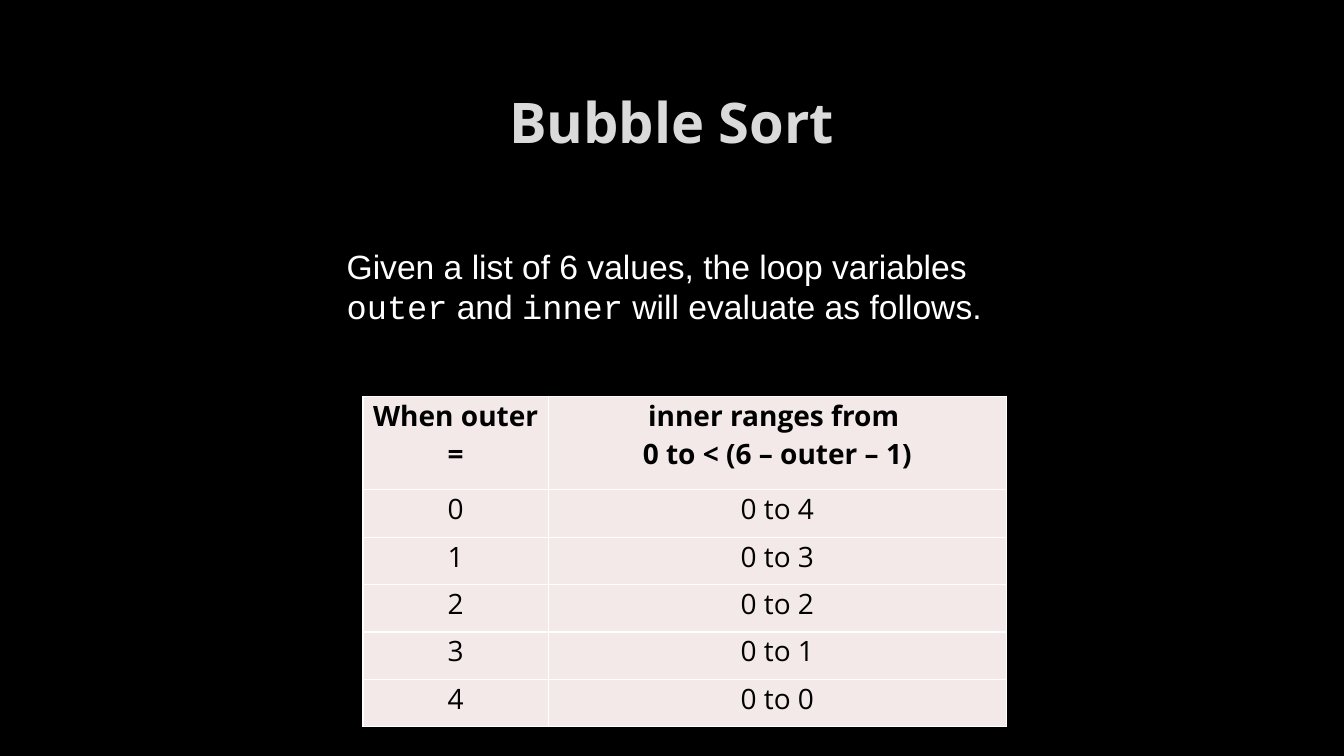
"""Build the Bubble Sort slide with its table of loop ranges."""
from dataclasses import dataclass

import lxml.etree
import pptx
import pptx.dml.color
import pptx.enum.text
import pptx.oxml.ns
import pptx.util

Inches = pptx.util.Inches
Pt = pptx.util.Pt
RGBColor = pptx.dml.color.RGBColor
PP_ALIGN = pptx.enum.text.PP_ALIGN
MSO_ANCHOR = pptx.enum.text.MSO_ANCHOR
qn = pptx.oxml.ns.qn


@dataclass(frozen=True)
class Theme:
    background: str = "000000"
    title: str = "DADADA"
    body: str = "FFFFFF"
    cell_text: str = "000000"
    cell_fill: str = "F3E9E8"
    border: str = "FFFFFF"
    heading_font: str = "Open Sans"
    body_font: str = "Arial"
    code_font: str = "Courier New"
    title_size: int = 40
    body_size: int = 24
    cell_size: int = 20
    border_width: int = 1


@dataclass(frozen=True)
class Box:
    left: float
    top: float
    width: float
    height: float

    def lengths(self) -> tuple:
        return tuple(Inches(n) for n in (self.left, self.top, self.width, self.height))


@dataclass(frozen=True)
class Phrase:
    text: str
    is_code: bool = False


THEME = Theme()
TITLE_BOX = Box(1, 0.67, 11.32, 1.06)
INTRO_BOX = Box(3.34, 2.38, 6.64, 0.91)
TABLE_BOX = Box(3.6, 3.93, 6.38, 3.28)
COLUMN_WIDTHS = (1.84, 4.54)
HEADER_HEIGHT = 0.93
ROW_HEIGHT = 0.47
VALUE_COUNT = 6
INTRO = (
    Phrase("Given a list of 6 values, the loop variables "),
    Phrase("outer", True),
    Phrase(" and "),
    Phrase("inner", True),
    Phrase(" will evaluate as follows."),
)
HEADER = ("When outer =", "inner ranges from \n0 to < (6 – outer – 1)")


def style_font(font, name: str, size: int, color: str, bold: bool = False) -> None:
    """Apply typeface, size, colour and weight."""
    font.name = name
    font.size = Pt(size)
    font.bold = bold
    font.color.rgb = RGBColor.from_string(color)


def add_text_frame(slide, box: Box):
    """Add a wrapping, vertically centred text box and return its frame."""
    frame = slide.shapes.add_textbox(*box.lengths()).text_frame
    frame.word_wrap = True
    frame.vertical_anchor = MSO_ANCHOR.MIDDLE
    return frame


def add_title(slide) -> None:
    """Add the slide title."""
    paragraph = add_text_frame(slide, TITLE_BOX).paragraphs[0]
    paragraph.text = "Bubble Sort"
    paragraph.alignment = PP_ALIGN.CENTER
    style_font(paragraph.font, THEME.heading_font, THEME.title_size, THEME.title, True)


def add_intro(slide) -> None:
    """Add the introduction, setting variable names in the code font."""
    paragraph = add_text_frame(slide, INTRO_BOX).paragraphs[0]
    for phrase in INTRO:
        run = paragraph.add_run()
        run.text = phrase.text
        name = THEME.code_font if phrase.is_code else THEME.body_font
        style_font(run.font, name, THEME.body_size, THEME.body)


def set_borders(cell) -> None:
    """Draw a thin line on all four sides of a cell."""
    properties = cell._tc.get_or_add_tcPr()
    for position, side in enumerate(("lnL", "lnR", "lnT", "lnB")):
        line = lxml.etree.Element(qn(f"a:{side}"), w=str(Pt(THEME.border_width)))
        fill = lxml.etree.SubElement(line, qn("a:solidFill"))
        lxml.etree.SubElement(fill, qn("a:srgbClr"), val=THEME.border)
        properties.insert(position, line)


def fill_cell(cell, text: str, bold: bool) -> None:
    """Write and style one table cell."""
    cell.text = text
    cell.margin_left = cell.margin_right = Inches(0.07)
    cell.margin_top = cell.margin_bottom = Inches(0)
    cell.fill.solid()
    cell.fill.fore_color.rgb = RGBColor.from_string(THEME.cell_fill)
    for paragraph in cell.text_frame.paragraphs:
        paragraph.alignment = PP_ALIGN.CENTER
        style_font(paragraph.font, THEME.heading_font, THEME.cell_size, THEME.cell_text, bold)
    set_borders(cell)


def add_range_table(slide) -> None:
    """Add the table of inner ranges for each outer value."""
    ranges = [(str(outer), f"0 to {VALUE_COUNT - outer - 2}") for outer in range(VALUE_COUNT - 1)]
    rows = [HEADER, *ranges]
    table = slide.shapes.add_table(len(rows), len(HEADER), *TABLE_BOX.lengths()).table
    table.first_row = table.horz_banding = False
    for column, width in zip(table.columns, COLUMN_WIDTHS):
        column.width = Inches(width)
    for row_index, texts in enumerate(rows):
        is_header = row_index == 0
        table.rows[row_index].height = Inches(HEADER_HEIGHT if is_header else ROW_HEIGHT)
        for column_index, text in enumerate(texts):
            fill_cell(table.cell(row_index, column_index), text, is_header)


def main() -> None:
    """Create and save the presentation."""
    presentation = pptx.Presentation()
    presentation.slide_width = Inches(13.33)
    presentation.slide_height = Inches(7.5)
    slide = presentation.slides.add_slide(presentation.slide_layouts[6])
    slide.background.fill.solid()
    slide.background.fill.fore_color.rgb = RGBColor.from_string(THEME.background)
    add_title(slide)
    add_range_table(slide)
    add_intro(slide)
    presentation.save("out.pptx")


main()
